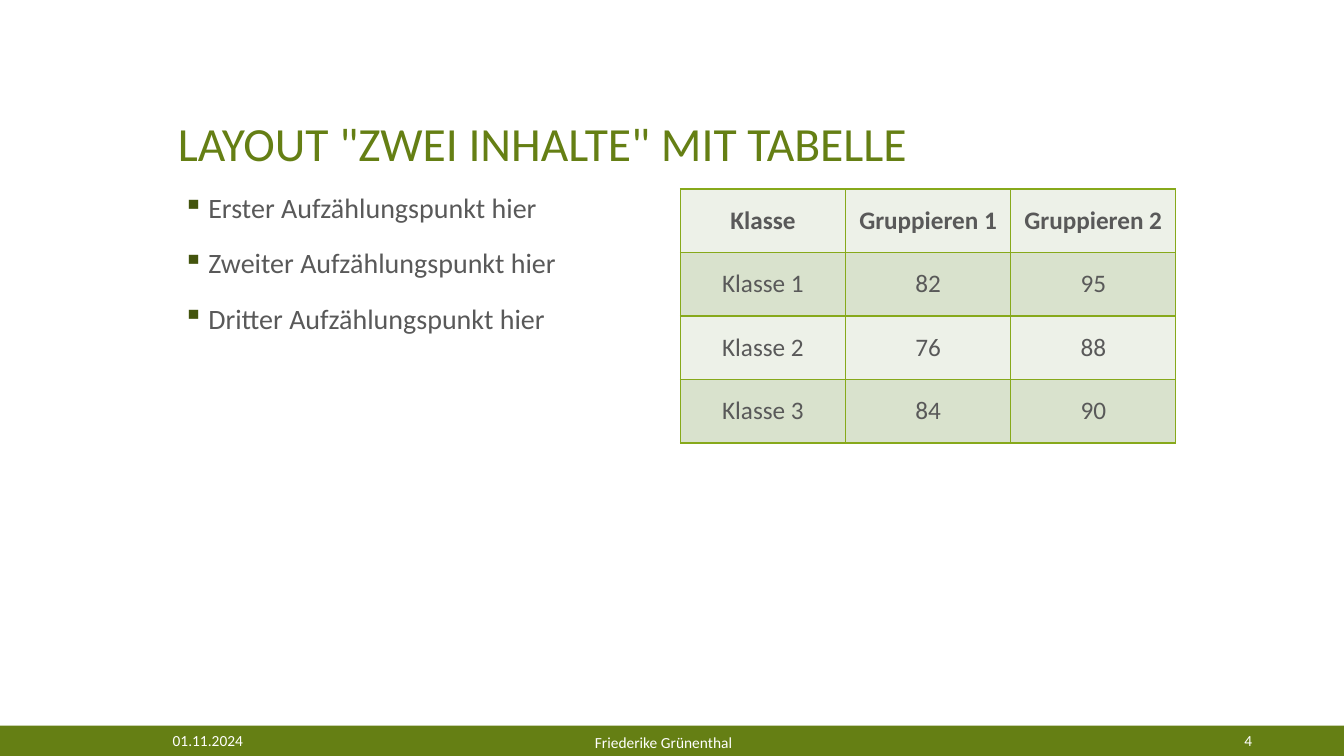
from dataclasses import dataclass

from lxml.etree import SubElement
from pptx import Presentation
from pptx.dml.color import RGBColor
from pptx.enum.shapes import MSO_SHAPE
from pptx.enum.text import MSO_ANCHOR, PP_ALIGN
from pptx.oxml.ns import qn
from pptx.util import Emu, Pt

PX = 9525


@dataclass(frozen=True)
class Theme:
    font: str = "Calibri"
    green: str = "657F14"
    bullet: str = "43540D"
    border: str = "87A91B"
    text: str = "595959"
    white: str = "FFFFFF"
    light_row: str = "EDF1E8"
    dark_row: str = "D9E2CD"
    title_size: int = 34
    body_size: int = 20
    table_size: int = 18
    footer_size: int = 11


def px(*lengths):
    return [Emu(length * PX) for length in lengths]


def add_color(parent, color):
    fill = SubElement(parent, qn("a:solidFill"))
    SubElement(fill, qn("a:srgbClr"), val=color)


class SlideBuilder:
    def __init__(self, page, theme):
        self.page = page
        self.theme = theme

    def style(self, para, size, color, align=PP_ALIGN.LEFT, bold=False):
        para.alignment = align
        para.font.name = self.theme.font
        para.font.size = Pt(size)
        para.font.bold = bold
        para.font.color.rgb = RGBColor.from_string(color)

    def bar(self, area, color):
        bar = self.page.shapes.add_shape(MSO_SHAPE.RECTANGLE, *px(*area))
        bar.shadow.inherit = False
        bar.fill.solid()
        bar.fill.fore_color.rgb = RGBColor.from_string(color)
        bar.line.fill.background()

    def text(self, area, lines, size, color, anchor, align=PP_ALIGN.LEFT):
        box = self.page.shapes.add_textbox(*px(*area))
        frame = box.text_frame
        frame.word_wrap = True
        frame.vertical_anchor = anchor
        frame.text = "\n".join(lines)
        for para in frame.paragraphs:
            self.style(para, size, color, align)
        return frame

    def title(self, area, line):
        frame = self.text(area, [line], self.theme.title_size,
                          self.theme.green, MSO_ANCHOR.BOTTOM)
        frame.paragraphs[0].line_spacing = 0.9

    def bullets(self, area, lines):
        frame = self.text(area, lines, self.theme.body_size,
                          self.theme.text, MSO_ANCHOR.TOP)
        for para in frame.paragraphs:
            para.line_spacing = 0.9
            para.space_before = Pt(18)
            props = para._p.get_or_add_pPr()
            props.set("marL", str(29 * PX))
            props.set("indent", str(-24 * PX))
            color = SubElement(props, qn("a:buClr"))
            SubElement(color, qn("a:srgbClr"), val=self.theme.bullet)
            SubElement(props, qn("a:buChar"), char="▪")

    def footer(self, area, line, align):
        self.text(area, [line], self.theme.footer_size, self.theme.white,
                  MSO_ANCHOR.MIDDLE, align)

    def cell_borders(self, cell):
        props = cell._tc.get_or_add_tcPr()
        for side in ("lnL", "lnR", "lnT", "lnB"):
            add_color(SubElement(props, qn(f"a:{side}"), w=str(Pt(1))),
                      self.theme.border)

    def table(self, area, rows):
        table = self.page.shapes.add_table(
            len(rows), len(rows[0]), *px(*area)).table
        for row_index, row in enumerate(rows):
            shade = self.theme.dark_row if row_index % 2 else self.theme.light_row
            for column_index, value in enumerate(row):
                cell = table.cell(row_index, column_index)
                cell.text = value
                cell.vertical_anchor = MSO_ANCHOR.MIDDLE
                self.cell_borders(cell)
                cell.fill.solid()
                cell.fill.fore_color.rgb = RGBColor.from_string(shade)
                self.style(cell.text_frame.paragraphs[0], self.theme.table_size,
                           self.theme.text, PP_ALIGN.CENTER, row_index == 0)


def main():
    deck = Presentation()
    deck.slide_width, deck.slide_height = px(1280, 720)
    page = deck.slides.add_slide(deck.slide_layouts[6])
    theme = Theme()
    slide = SlideBuilder(page, theme)

    slide.bar((0, 691, 1280, 29), theme.green)
    slide.title((160, 48, 960, 120), 'LAYOUT "ZWEI INHALTE" MIT TABELLE')
    slide.bullets((160, 180, 472, 468), [
        f"{ordinal} Aufzählungspunkt hier"
        for ordinal in ("Erster", "Zweiter", "Dritter")
    ])
    slide.table((648, 180, 472, 242), [
        ("Klasse", "Gruppieren 1", "Gruppieren 2"),
        ("Klasse 1", "82", "95"),
        ("Klasse 2", "76", "88"),
        ("Klasse 3", "84", "90"),
    ])
    slide.footer((80, 693, 161, 24), "01.11.2024", PP_ALIGN.RIGHT)
    slide.footer((291, 695, 682, 24), "Friederike Grünenthal", PP_ALIGN.CENTER)
    slide.footer((1120, 693, 82, 24), "4", PP_ALIGN.RIGHT)
    deck.save("out.pptx")


if __name__ == "__main__":
    main()
